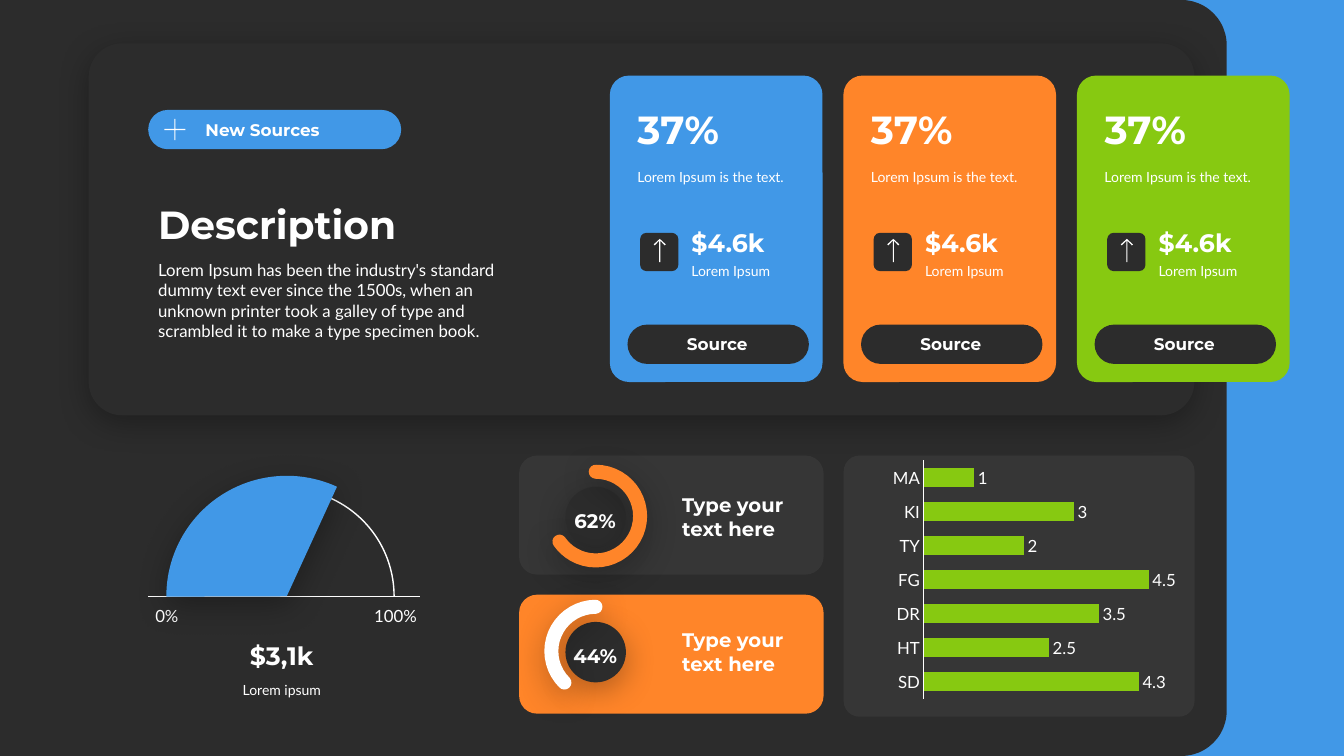
"""Dark dashboard slide on a grid of cells one tenth of an inch wide."""
from pptx import Presentation
from pptx.chart.data import CategoryChartData
from pptx.dml.color import RGBColor
from pptx.enum.chart import XL_CHART_TYPE, XL_LABEL_POSITION, XL_TICK_MARK
from pptx.enum.shapes import MSO_CONNECTOR, MSO_SHAPE
from pptx.enum.text import MSO_ANCHOR, MSO_AUTO_SIZE, PP_ALIGN
from pptx.oxml import parse_xml
from pptx.oxml.ns import nsdecls, qn
from pptx.util import Inches, Pt

RECT, ROUND, OVAL, ARC = (MSO_SHAPE.RECTANGLE, MSO_SHAPE.ROUNDED_RECTANGLE,
                          MSO_SHAPE.OVAL, MSO_SHAPE.ARC)
TOP, MIDDLE, BOTTOM = MSO_ANCHOR.TOP, MSO_ANCHOR.MIDDLE, MSO_ANCHOR.BOTTOM
LEFT, CENTER = PP_ALIGN.LEFT, PP_ALIGN.CENTER
FIT = MSO_AUTO_SIZE.SHAPE_TO_FIT_TEXT
STRAIGHT = MSO_CONNECTOR.STRAIGHT
BARS, OUTSIDE, NO_TICK = (XL_CHART_TYPE.BAR_CLUSTERED,
                          XL_LABEL_POSITION.OUTSIDE_END, XL_TICK_MARK.NONE)

CELL = Inches(0.1)
COLS, ROWS = 133.33, 75
CARD_LEFT, CARD_PITCH, INSET = 60.5, 23.17, 1.75
COLORS = {"dark": "2C2C2C", "blue": "4198E7", "orange": "FF8529",
          "green": "87C911", "white": "FFFFFF"}
FONTS = {
    "title": {"name": "Montserrat", "size": Pt(28), "bold": True},
    "amount": {"name": "Montserrat", "size": Pt(18), "bold": True},
    "callout": {"name": "Montserrat", "size": Pt(14), "bold": True},
    "button": {"name": "Montserrat", "size": Pt(12), "bold": True},
    "body": {"name": "Lato", "size": Pt(12), "bold": False},
    "small": {"name": "Lato", "size": Pt(10), "bold": False},
}


def rgb(color):
    """Return the named colour."""
    return RGBColor.from_string(COLORS[color])


def cells(*lengths):
    """Turn grid units into slide lengths."""
    return [round(length * CELL) for length in lengths]


def apply(target, values):
    """Set each attribute in values on target."""
    for name, value in values.items():
        setattr(target, name, value)


def style_font(font, kind):
    """Give a font one of the slide's text styles in white."""
    apply(font, FONTS[kind])
    font.color.rgb = rgb("white")


def paint(shape, fill=None, alpha=None, line=None, weight=1, shadow=False):
    """Set fill, outline and shadow of a shape."""
    shape.shadow.inherit = False
    properties = shape.element.spPr
    if fill:
        shape.fill.solid()
        shape.fill.fore_color.rgb = rgb(fill)
    else:
        shape.fill.background()
    if alpha:
        properties.find(".//" + qn("a:srgbClr")).append(
            parse_xml(f'<a:alpha {nsdecls("a")} val="{alpha * 1000}"/>'))
    if line:
        shape.line.color.rgb = rgb(line)
        shape.line.width = Pt(weight)
    else:
        shape.line.fill.background()
    if shadow:
        properties.find(qn("a:effectLst")).append(parse_xml(
            f'<a:outerShdw {nsdecls("a")} blurRad="{Pt(23)}" dist="{Pt(6)}" '
            'dir="5400000" algn="t" rotWithShape="0">'
            '<a:srgbClr val="000000"><a:alpha val="30000"/></a:srgbClr>'
            '</a:outerShdw>'))


def add_block(slide, kind, box, adjust=None, **look):
    """Add a preset shape to the grid box."""
    block = slide.shapes.add_shape(kind, *cells(*box))
    if adjust is not None:
        block.adjustments[0] = adjust
    paint(block, **look)


def add_arc(slide, box, start, end, rounded=False, **look):
    """Add an arc running clockwise between two angles in degrees."""
    arc = slide.shapes.add_shape(ARC, *cells(*box))
    arc.adjustments[0], arc.adjustments[1] = start * 0.6, end * 0.6
    paint(arc, **look)
    if rounded:
        arc.element.spPr.find(qn("a:ln")).set("cap", "rnd")


def add_text(slide, words, box, kind, align=LEFT, anchor=TOP, wrap=True,
             side=0.1, upright=0.05, after=0):
    """Add one paragraph of text in a grid box."""
    frame = slide.shapes.add_textbox(*cells(*box)).text_frame
    apply(frame, {"word_wrap": wrap, "auto_size": FIT, "vertical_anchor": anchor,
                  "margin_left": Inches(side), "margin_right": Inches(side),
                  "margin_top": Inches(upright), "margin_bottom": Inches(upright)})
    paragraph = frame.paragraphs[0]
    apply(paragraph, {"alignment": align, "space_after": Pt(after)})
    run = paragraph.add_run()
    run.text = words
    style_font(run.font, kind)


def add_icon(slide, x, y, outline):
    """Add a white closed outline around the grid point x, y."""
    points = [cells(x + dx, y + dy) for dx, dy in outline]
    builder = slide.shapes.build_freeform(*points[0])
    builder.add_line_segments(points[1:], close=True)
    paint(builder.convert_to_shape(), fill="white")


def arrow_outline():
    """Return the thin upward arrow as offsets from its tip."""
    half = [(0.6, 0.55), (0.5, 0.65), (0.05, 0.18), (0.05, 2.3)]
    return [(0, 0)] + half + [(-x, y) for x, y in reversed(half)]


def plus_outline(arm=1.05, half=0.05):
    """Return the thin plus sign as offsets from its centre."""
    outline = []
    x_dir, y_dir = 1, 0
    for _ in range(4):
        outline += [(x_dir * along - y_dir * across, y_dir * along + x_dir * across)
                    for along, across in ((arm, -half), (arm, half), (half, half))]
        x_dir, y_dir = -y_dir, x_dir
    return outline


def add_card(slide, left, color):
    """Add a coloured source card."""
    inner = left + INSET
    add_block(slide, ROUND, (left, 7.5, 21.1, 30.4), 0.09, fill=color)
    add_text(slide, "Lorem Ipsum is the text.", (inner, 16.2, 18.4, 2.7), "small")
    add_text(slide, "37%", (inner, 9.9, 18.8, 5.7), "title", anchor=BOTTOM)
    add_block(slide, ROUND, (left + 3, 23.1, 3.8, 3.8), fill="dark")
    add_icon(slide, left + 4.95, 23.7, arrow_outline())
    add_text(slide, "Lorem Ipsum", (left + 8.1, 25.6, 10.4, 2.7), "small", side=0)
    add_text(slide, "$4.6k", (left + 8.1, 22, 10.4, 4), "amount",
             anchor=BOTTOM, side=0)
    add_block(slide, ROUND, (inner, 32.2, 18, 3.9), 0.5, fill="dark")
    add_text(slide, "Source", (inner, 32.6, 17.8, 3), "button", CENTER, MIDDLE)


def add_ring(slide, top, share, start, end, color):
    """Add a ring gauge with its share and callout."""
    add_block(slide, OVAL, (56.1, top + 3.1, 6, 6), fill="dark", shadow=True)
    add_text(slide, share, (55.7, top + 4.75, 6.7, 3.4), "callout", CENTER, BOTTOM)
    add_arc(slide, (54.7, top + 1.6, 8.8, 8.8), start, end, rounded=True,
            line=color, weight=10, shadow=True)
    add_text(slide, "Type your text here", (66.7, top + 3.2, 13, 5.7), "callout",
             anchor=MIDDLE)


def add_gauge(slide):
    """Add the half-circle gauge with its scale and amount."""
    add_arc(slide, (17.8, 48.5, 21.3, 21.3), 180, 0, line="white")
    baseline = slide.shapes.add_connector(STRAIGHT, *cells(14.7, 59.2, 41.7, 59.2))
    baseline.line.color.rgb = rgb("white")
    baseline.line.width = Pt(1)
    baseline.element.spPr.append(parse_xml(f'<a:effectLst {nsdecls("a")}/>'))
    for mark, left, width in (("0%", 15.4, 2.3), ("100%", 37.1, 4.3)):
        add_text(slide, mark, (left, 60.1, width, 2), "body", CENTER, MIDDLE,
                 wrap=False, side=0, upright=0)
    add_arc(slide, (16.5, 47.2, 23.9, 23.9), 179.82, 294.62, fill="blue", shadow=True)
    add_text(slide, "Lorem ipsum", (15.9, 67.1, 24.1, 2.7), "small", CENTER, after=6)
    add_text(slide, "$3,1k", (15.9, 63, 24.1, 4), "amount", CENTER, BOTTOM, after=6)


def add_bars(slide):
    """Add the bar chart with labelled values."""
    data = CategoryChartData()
    data.categories = ["SD", "HT", "DR", "FG", "TY", "KI", "MA"]
    data.add_series("Series 1", (4.3, 2.5, 3.5, 4.5, 2, 3, 1))
    chart = slide.shapes.add_chart(BARS, *cells(88, 45.2, 29, 24.6), data).chart
    apply(chart, {"has_legend": False, "has_title": False})
    style_font(chart.font, "small")
    apply(chart.value_axis, {"visible": False, "has_major_gridlines": False,
                             "minimum_scale": 0, "maximum_scale": 5})
    axis = chart.category_axis
    apply(axis, {"major_tick_mark": NO_TICK, "minor_tick_mark": NO_TICK})
    style_font(axis.tick_labels.font, "body")
    axis.format.line.color.rgb = rgb("white")
    axis.format.line.width = Pt(0.75)
    plot = chart.plots[0]
    apply(plot, {"gap_width": 75, "vary_by_categories": False, "has_data_labels": True})
    apply(plot.data_labels, {"show_value": True, "position": OUTSIDE})
    style_font(plot.data_labels.font, "body")
    bar_fill = plot.series[0].format.fill
    bar_fill.solid()
    bar_fill.fore_color.rgb = rgb("green")


def main():
    """Build the slide and save it."""
    deck = Presentation()
    deck.slide_width, deck.slide_height = cells(COLS, ROWS)
    slide = deck.slides.add_slide(deck.slide_layouts[6])
    slide.background.fill.solid()
    slide.background.fill.fore_color.rgb = rgb("dark")
    add_block(slide, RECT, (108.4, 0, COLS - 108.4, ROWS), fill="blue")
    add_block(slide, ROUND, (0, 0, 121.7, ROWS), 0.06, fill="dark")
    add_block(slide, RECT, (0, 0, 10, ROWS), fill="dark")
    add_block(slide, ROUND, (51.5, 45.2, 30.2, 11.8), 0.15, fill="white", alpha=5)
    add_block(slide, ROUND, (8.8, 4.3, 109.7, 36.9), 0.09, fill="dark", shadow=True)
    for column, color in enumerate(("blue", "orange", "green")):
        add_card(slide, CARD_LEFT + column * CARD_PITCH, color)
    add_block(slide, ROUND, (14.7, 10.9, 25.1, 3.9), 0.5, fill="blue")
    add_text(slide, "New Sources", (19.4, 11.4, 20.2, 3), "button", anchor=MIDDLE)
    add_icon(slide, 17.35, 12.85, plus_outline())
    add_text(slide, "Lorem Ipsum has been the industry's standard dummy text ever "
             "since the 1500s, when an unknown printer took a galley of type and "
             "scrambled it to make a type specimen book.",
             (14.7, 25.3, 36.8, 9.1), "body")
    add_text(slide, "Description", (14.7, 19.3, 36.8, 5.7), "title", anchor=BOTTOM)
    add_gauge(slide)
    add_ring(slide, 45.2, "62%", 270, 144.91, "orange")
    add_block(slide, ROUND, (51.5, 59, 30.2, 11.8), 0.15, fill="orange")
    add_ring(slide, 58.6, "44%", 134.91, 269.66, "white")
    add_block(slide, ROUND, (83.7, 45.2, 34.8, 25.9), 0.06, fill="white", alpha=5)
    add_bars(slide)
    deck.save("out.pptx")


if __name__ == "__main__":
    main()
